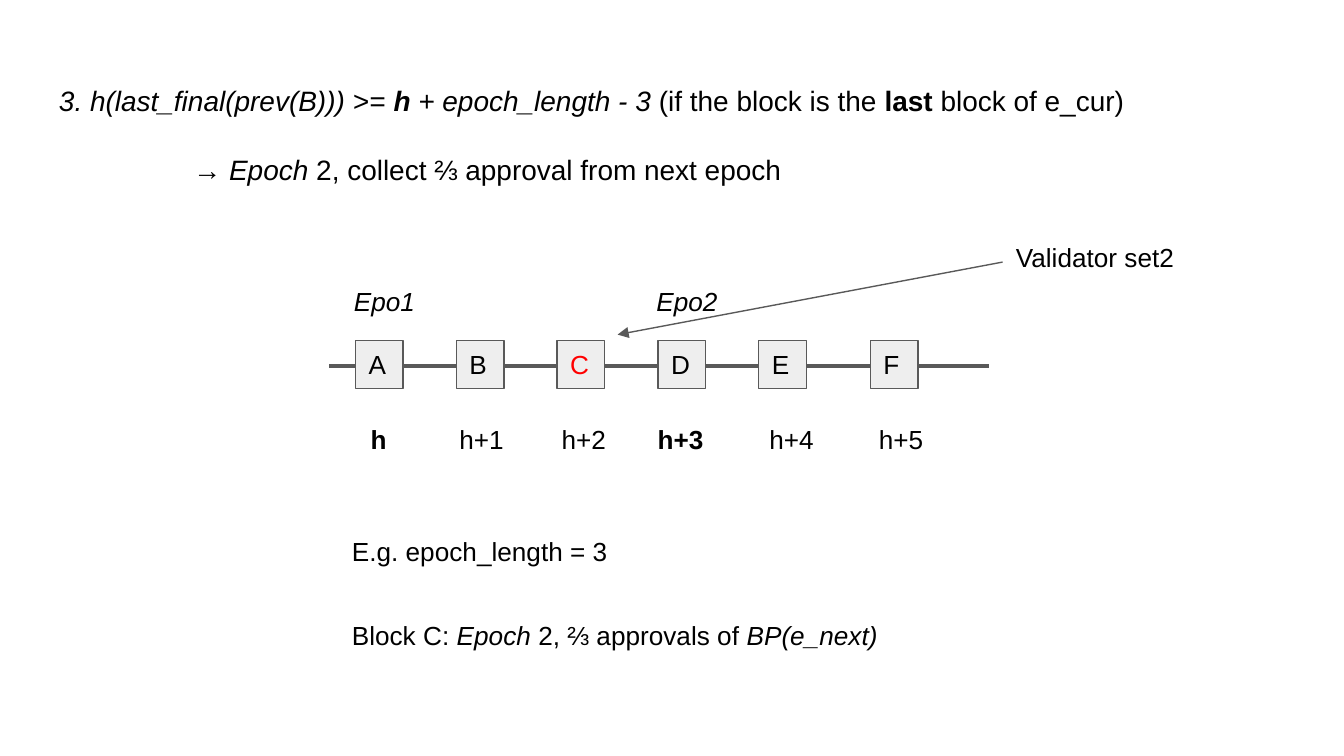
from lxml import etree
from pptx import Presentation
from pptx import util as u
from pptx.dml.color import RGBColor
from pptx.enum import shapes, text
from pptx.oxml.ns import qn

SCALE = 4572
INK = {"text": "000000", "mark": "FF0000", "line": "595959", "box": "EEEEEE"}


class Deck:
    """Holds the style and the current slide, and draws each kind of element."""

    font = "Arial"
    size = 14
    inset = 20

    def __init__(self, wide, high):
        self.prs = Presentation()
        self.prs.slide_width = self.px(wide)
        self.prs.slide_height = self.px(high)
        self.slide = self.prs.slides.add_slide(self.prs.slide_layouts[6])

    def px(self, n):
        return u.Emu(n * SCALE)

    def ink(self, name):
        return RGBColor.from_string(INK[name])

    def frame(self, shape):
        tf = shape.text_frame
        tf.word_wrap = True
        tf.margin_left = tf.margin_right = self.px(self.inset)
        tf.margin_top = tf.margin_bottom = self.px(self.inset)
        return tf

    def style(self, run, flags="", size=None, ink="text"):
        font = run.font
        font.name = self.font
        font.size = u.Pt(size or self.size)
        font.color.rgb = self.ink(ink)
        font.bold = "b" in flags
        font.italic = "i" in flags

    def fill(self, para, parts, size=None):
        for words, flags in parts:
            run = para.add_run()
            run.text = words
            self.style(run, flags, size)

    def text(self, box, parts):
        tf = self.frame(self.slide.shapes.add_textbox(*map(self.px, box)))
        self.fill(tf.paragraphs[0], parts)
        return tf

    def lines(self, box, rows, size=None):
        tf = self.text(box, [])
        for i, (parts, gap, lead, dent) in enumerate(rows):
            para = tf.add_paragraph() if i else tf.paragraphs[0]
            para.line_spacing = lead
            if gap:
                para.space_before = u.Pt(gap)
            if dent:
                props = para._p.get_or_add_pPr()
                props.set("marL", str(self.px(dent)))
                props.set("indent", "0")
            self.fill(para, parts, size)

    def tabbed(self, box, stops, parts):
        tf = self.text(box, [])
        para = tf.paragraphs[0]
        tabs = etree.SubElement(para._p.get_or_add_pPr(), qn("a:tabLst"))
        for stop in stops:
            etree.SubElement(tabs, qn("a:tab"), pos=str(self.px(stop)), algn="l")
        self.fill(para, [("\t" + words, flags) for words, flags in parts])

    def block(self, left, top, side, name, ink):
        box = map(self.px, (left, top, side, side))
        shape = self.slide.shapes.add_shape(shapes.MSO_SHAPE.RECTANGLE, *box)
        shape.shadow.inherit = False
        shape.fill.solid()
        shape.fill.fore_color.rgb = self.ink("box")
        shape.line.color.rgb = self.ink("line")
        shape.line.width = u.Pt(0.75)
        tf = self.frame(shape)
        tf.vertical_anchor = text.MSO_ANCHOR.MIDDLE
        tf.text = name
        para = tf.paragraphs[0]
        para.alignment = text.PP_ALIGN.LEFT
        self.style(para.runs[0], ink=ink)

    def line(self, ends, width, arrow=False):
        kind = shapes.MSO_CONNECTOR.STRAIGHT
        link = self.slide.shapes.add_connector(kind, *map(self.px, ends))
        link.line.color.rgb = self.ink("line")
        link.line.width = u.Pt(width)
        if arrow:
            etree.SubElement(link.line._get_or_add_ln(), qn("a:tailEnd"), type="triangle")
        etree.SubElement(link._element.spPr, qn("a:effectLst"))


def main():
    deck = Deck(2000, 1125)
    rule = [
        ("3. h(last_final(prev(B))) >= ", "i"), ("h", "bi"),
        (" + epoch_length - 3 ", "i"), ("(if the block is the ", ""),
        ("last", "b"), (" block of e_cur)", ""),
    ]
    note = [("→ ", ""), ("Epoch", "i"), (" 2, collect ⅔ approval from next epoch", "")]
    deck.lines((68, 97, 1864, 126), [(rule, 0, 1.15, 0), (note, 16, 1.15, 200)], size=15)

    deck.line((490, 545, 1472, 545), 2.25)
    marks = [("h", "b"), ("h+1", ""), ("h+2", ""), ("h+3", "b"), ("h+4", ""), ("h+5", "")]
    deck.tabbed((390, 610, 1218, 78), (142, 274, 426, 569, 735, 898), marks)

    lefts = [529 + 150 * i for i in range(5)] + [1295]
    for left, name in zip(lefts, "ABCDEF"):
        deck.block(left, 507, 71, name, "mark" if name == "C" else "text")
    for left, name in ((507, "Epo1"), (957, "Epo2")):
        deck.text((left, 405, 156, 72), [(name, "i")])

    case = [("Block C: ", ""), ("Epoch ", "i"), ("2, ⅔ approvals of ", ""), ("BP(e_next)", "i")]
    rows = [([("E.g. epoch_length = 3", "")], 0, 1.5, 0), (case, 25.5, 1.15, 0)]
    deck.lines((504, 754, 1060, 368), rows)
    deck.text((1492, 339, 296, 102), [("Validator set2", "")])
    deck.line((1492, 390, 919, 498), 0.75, arrow=True)
    deck.prs.save("out.pptx")


if __name__ == "__main__":
    main()
